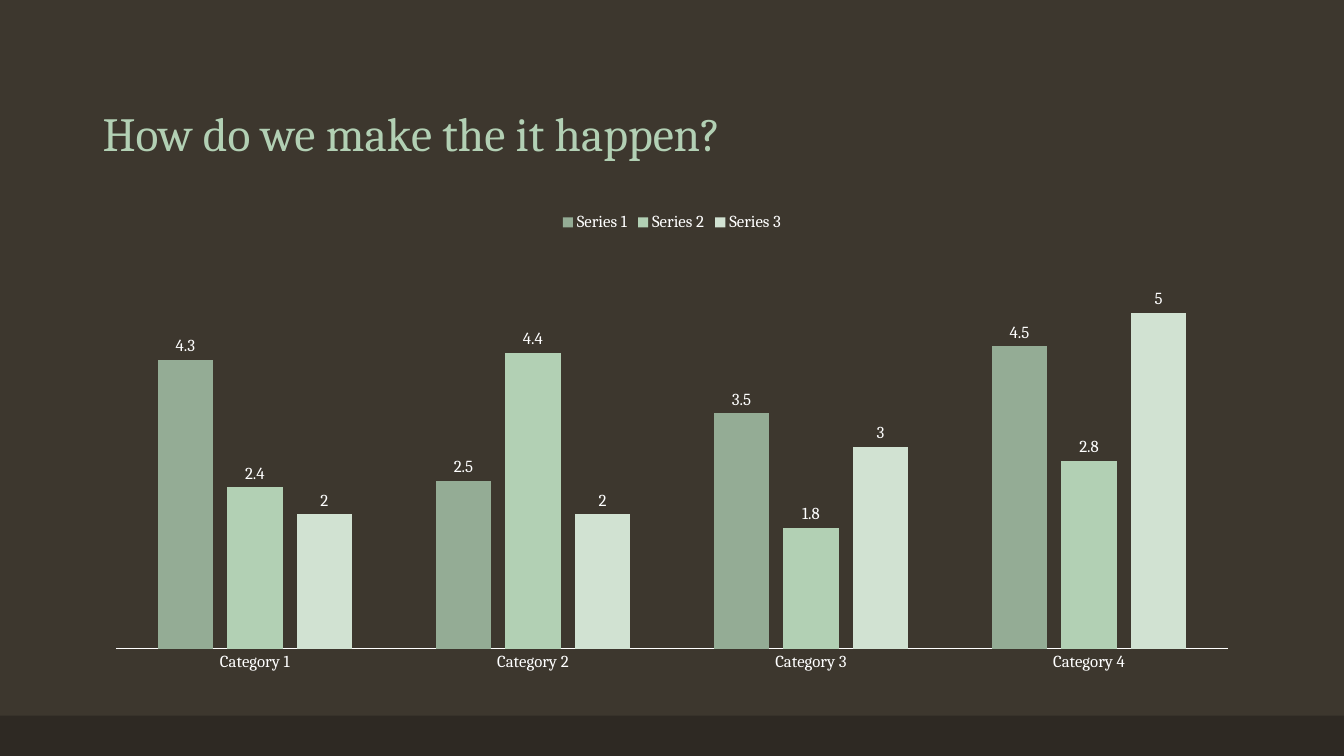
import pptx
import pptx.chart.data
import pptx.dml.color
import pptx.enum.chart
import pptx.enum.shapes
import pptx.enum.text
import pptx.util

RGBColor = pptx.dml.color.RGBColor
BACKGROUND = RGBColor(0x3D, 0x37, 0x2E)
FOOTER = RGBColor(0x2E, 0x29, 0x23)
TITLE = RGBColor(0xB2, 0xD0, 0xB4)
WHITE = RGBColor(0xFF, 0xFF, 0xFF)
FONT = "Cambria"

SERIES = [
    ("Series 1", (4.3, 2.5, 3.5, 4.5), RGBColor(0x94, 0xAC, 0x95)),
    ("Series 2", (2.4, 4.4, 1.8, 2.8), RGBColor(0xB2, 0xD0, 0xB4)),
    ("Series 3", (2, 2, 3, 5), RGBColor(0xD1, 0xE2, 0xD2)),
]


def style_font(font, size, color=WHITE):
    font.name = FONT
    font.size = pptx.util.Pt(size)
    font.bold = False
    font.color.rgb = color


presentation = pptx.Presentation()
presentation.slide_width = pptx.util.Inches(13.33)
presentation.slide_height = pptx.util.Inches(7.5)
slide = presentation.slides.add_slide(presentation.slide_layouts[6])
slide.background.fill.solid()
slide.background.fill.fore_color.rgb = BACKGROUND

# Content column shared by title and chart
left = pptx.util.Inches(0.92)
width = presentation.slide_width - 2 * left

# Footer band
band_height = pptx.util.Inches(0.4)
band = slide.shapes.add_shape(
    pptx.enum.shapes.MSO_SHAPE.RECTANGLE,
    0, presentation.slide_height - band_height, presentation.slide_width, band_height)
band.shadow.inherit = False
band.fill.solid()
band.fill.fore_color.rgb = FOOTER
band.line.fill.background()

# Title
title = slide.shapes.add_textbox(left, pptx.util.Inches(0.4), width, pptx.util.Inches(1.25))
title.text_frame.word_wrap = True
title.text_frame.vertical_anchor = pptx.enum.text.MSO_ANCHOR.BOTTOM
paragraph = title.text_frame.paragraphs[0]
paragraph.line_spacing = 0.9
run = paragraph.add_run()
run.text = "How do we make the it happen?"
style_font(run.font, 34, TITLE)

# Column chart
chart_data = pptx.chart.data.CategoryChartData()
chart_data.categories = [f"Category {number}" for number in range(1, 5)]
for name, values, color in SERIES:
    chart_data.add_series(name, values)
chart = slide.shapes.add_chart(
    pptx.enum.chart.XL_CHART_TYPE.COLUMN_CLUSTERED,
    left, pptx.util.Inches(2), width, pptx.util.Inches(4.76), chart_data).chart
style_font(chart.font, 10)
chart.has_title = False
chart.has_legend = True
chart.legend.position = pptx.enum.chart.XL_LEGEND_POSITION.TOP
chart.legend.include_in_layout = False
style_font(chart.legend.font, 12)

# Axes
category_axis = chart.category_axis
category_axis.major_tick_mark = pptx.enum.chart.XL_TICK_MARK.NONE
category_axis.format.line.color.rgb = WHITE
category_axis.format.line.width = pptx.util.Pt(0.75)
style_font(category_axis.tick_labels.font, 12)
value_axis = chart.value_axis
value_axis.visible = False
value_axis.has_major_gridlines = False
value_axis.minimum_scale = 0
value_axis.maximum_scale = 6

# Bars and value labels
plot = chart.plots[0]
plot.vary_by_categories = False
plot.gap_width = 150
plot.overlap = -25
for series, (name, values, color) in zip(plot.series, SERIES):
    series.format.fill.solid()
    series.format.fill.fore_color.rgb = color
    labels = series.data_labels
    labels.show_value = True
    labels.position = pptx.enum.chart.XL_LABEL_POSITION.OUTSIDE_END
    style_font(labels.font, 12)

presentation.save("out.pptx")
